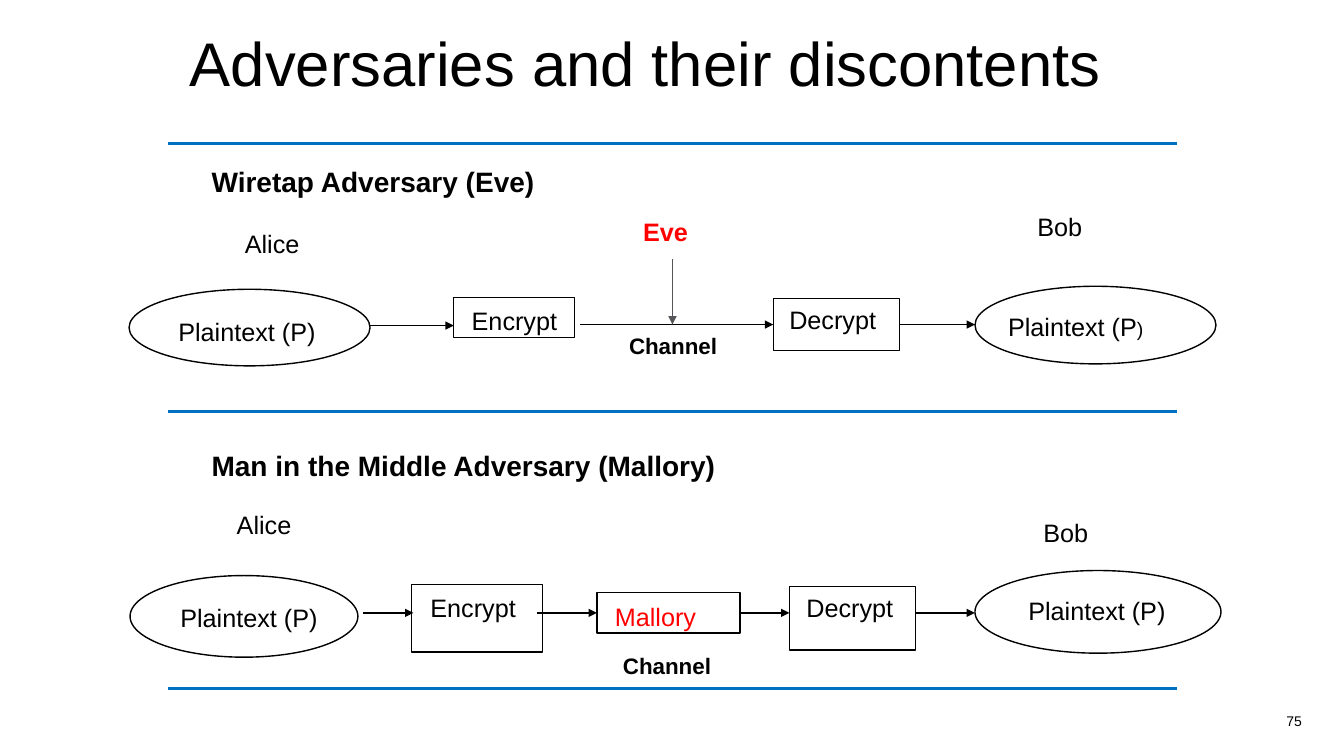
from dataclasses import dataclass

import pptx
import pptx.dml.color
import pptx.enum.shapes
import pptx.enum.text
import pptx.oxml.ns
import pptx.oxml.xmlchemy
import pptx.util

Inches = pptx.util.Inches
Pt = pptx.util.Pt
ShapeKind = pptx.enum.shapes.MSO_SHAPE
Align = pptx.enum.text.PP_ALIGN
Anchor = pptx.enum.text.MSO_ANCHOR
new_element = pptx.oxml.xmlchemy.OxmlElement
LEFT_SIDE, RIGHT_SIDE = 1, 3


def rgb(value):
    return pptx.dml.color.RGBColor.from_string(value)


@dataclass(frozen=True)
class Theme:
    font: str = "Arial"
    ink: str = "000000"
    alert: str = "FF0000"
    rule: str = "0070C0"
    tap: str = "56555A"
    title: int = 44
    heading: int = 20
    label: int = 18
    channel: int = 16
    small: int = 14
    number: int = 10
    thin: int = 1
    thick: int = 2


class SlideBuilder:
    def __init__(self, slide, theme):
        self.slide = slide
        self.theme = theme

    def style_font(self, font, size, color, bold=False):
        values = {"name": self.theme.font, "size": Pt(size), "bold": bold}
        for name, value in values.items():
            setattr(font, name, value)
        font.color.rgb = rgb(color)

    def title(self, text, left, top, width, height):
        shape = self.slide.shapes.title
        places = {"left": left, "top": top, "width": width, "height": height}
        for name, value in places.items():
            setattr(shape, name, Inches(value))
        frame = shape.text_frame
        frame.text = text
        frame.vertical_anchor = Anchor.MIDDLE
        paragraph = frame.paragraphs[0]
        paragraph.alignment = Align.CENTER
        paragraph.line_spacing = 0.9
        self.style_font(paragraph.runs[0].font, self.theme.title, self.theme.ink)

    def text(self, text, left, top, width, height=0.4, size=None, color=None,
             bold=False, wrap=True, align=Align.LEFT, anchor=Anchor.TOP, ending=""):
        shape = self.slide.shapes.add_textbox(
            Inches(left), Inches(top), Inches(width), Inches(height))
        formats = {"word_wrap": wrap, "vertical_anchor": anchor,
                   "auto_size": pptx.enum.text.MSO_AUTO_SIZE.SHAPE_TO_FIT_TEXT}
        for name, value in formats.items():
            setattr(shape.text_frame, name, value)
        paragraph = shape.text_frame.paragraphs[0]
        paragraph.alignment = align
        pieces = [(text, size or self.theme.label), (ending, self.theme.small)]
        for words, points in pieces:
            if words:
                run = paragraph.add_run()
                run.text = words
                self.style_font(run.font, points, color or self.theme.ink, bold)

    def outline(self, kind, left, top, width, height):
        shape = self.slide.shapes.add_shape(
            kind, Inches(left), Inches(top), Inches(width), Inches(height))
        shape.shadow.inherit = False
        shape.fill.background()
        shape.line.color.rgb = rgb(self.theme.ink)
        shape.line.width = Pt(self.theme.thin)
        return shape

    def line(self, start, end, color, width):
        connector = self.slide.shapes.add_connector(
            pptx.enum.shapes.MSO_CONNECTOR.STRAIGHT,
            *(Inches(value) for value in (*start, *end)))
        connector.line.color.rgb = rgb(color)
        connector.line.width = Pt(width)
        connector._element.spPr.append(new_element("a:effectLst"))
        return connector

    def arrow(self, start, end, color=None, source=None, target=None):
        connector = self.line(start, end, color or self.theme.ink, self.theme.thin)
        if source is not None:
            connector.begin_connect(source, RIGHT_SIDE)
        if target is not None:
            connector.end_connect(target, LEFT_SIDE)
        head = new_element("a:tailEnd")
        head.set("type", "triangle")
        connector._element.spPr.find(pptx.oxml.ns.qn("a:ln")).append(head)


def draw_wiretap(builder):
    theme = builder.theme
    # Plaintext, encryption and decryption outlines
    builder.outline(ShapeKind.OVAL, 1.28, 2.87, 2.39, 0.76)
    builder.outline(ShapeKind.RECTANGLE, 4.5, 2.95, 1.2, 0.4)
    decrypt = builder.outline(ShapeKind.RECTANGLE, 7.67, 2.96, 1.25, 0.52)
    builder.outline(ShapeKind.OVAL, 9.67, 2.84, 2.39, 0.77)

    # Message flow and the tap on the channel
    builder.arrow((3.67, 3.23), (4.5, 3.23))
    builder.arrow((5.75, 3.22), (7.67, 3.22), target=decrypt)
    builder.arrow((8.92, 3.22), (9.67, 3.22), source=decrypt)
    builder.arrow((6.67, 2.57), (6.67, 3.22), color=theme.tap)

    # Labels
    builder.text("Wiretap Adversary (Eve)", 2, 1.58, 3.83, 0.43,
                 size=theme.heading, bold=True)
    builder.text("Eve", 6.28, 2.1, 1.75, color=theme.alert, bold=True)
    builder.text("Plaintext (P)", 1.67, 3.09, 1.58)
    builder.text("Plaintext (P", 9.9, 3.04, 1.86, ending=")")
    draw_common_labels(builder, alice=(2.33, 2.22), bob=(10.19, 2.05),
                       encrypt=(4.58, 2.98), decrypt=(7.73, 2.97),
                       channel=(6.14, 3.25))


def draw_middle(builder):
    theme = builder.theme
    # Plaintext, encryption, Mallory and decryption outlines
    builder.outline(ShapeKind.OVAL, 1.29, 5.71, 2.26, 0.81)
    builder.outline(ShapeKind.RECTANGLE, 4.08, 5.8, 1.3, 0.67)
    mallory = builder.outline(ShapeKind.RECTANGLE, 5.92, 5.88, 1.42, 0.4)
    builder.outline(ShapeKind.RECTANGLE, 7.83, 5.82, 1.25, 0.63)
    builder.outline(ShapeKind.OVAL, 9.67, 5.66, 2.44, 0.82)

    # Message flow through Mallory
    flow = 6.08
    for start, end, source, target in [(3.6, 4.1, None, None),
                                       (5.33, 5.92, None, mallory),
                                       (7.34, 7.83, mallory, None),
                                       (9.08, 9.67, None, None)]:
        builder.arrow((start, flow), (end, flow), source=source, target=target)

    # Labels
    builder.text("Man in the Middle Adversary (Mallory)", 2, 4.4, 9, 0.44,
                 size=theme.heading, bold=True)
    builder.text("Mallory", 6, 5.92, 1.25, color=theme.alert)
    builder.text("Plaintext (P)", 1.69, 5.93, 1.7)
    builder.text("Plaintext (P)", 10.1, 5.86, 2.01)
    draw_common_labels(builder, alice=(2.25, 5), bob=(10.25, 5.08),
                       encrypt=(4.17, 5.83), decrypt=(7.9, 5.83),
                       channel=(6.08, 6.42))


def draw_common_labels(builder, alice, bob, encrypt, decrypt, channel):
    for text, place, width in [("Alice", alice, 0.74), ("Bob", bob, 0.65),
                               ("Encrypt", encrypt, 1.05),
                               ("Decrypt", decrypt, 1.06)]:
        builder.text(text, *place, width, wrap=False)
    builder.text("Channel", *channel, 1.08, 0.37,
                 size=builder.theme.channel, bold=True, wrap=False)


def main():
    presentation = pptx.Presentation()
    presentation.slide_width = Inches(13.33)
    presentation.slide_height = Inches(7.5)
    slide = presentation.slides.add_slide(presentation.slide_layouts[5])
    theme = Theme()
    builder = SlideBuilder(slide, theme)

    # Title and slide number
    builder.title("Adversaries and their discontents", 1.19, 0.25, 10.43, 0.83)
    builder.text("75", 12.64, 6.95, 0.39, size=theme.number,
                 align=Align.CENTER, anchor=Anchor.MIDDLE)

    # The two attack diagrams
    draw_wiretap(builder)
    draw_middle(builder)

    # Rules between the sections
    for height in (1.42, 4.08, 6.83):
        builder.line((1.67, height), (11.67, height), theme.rule, theme.thick)

    presentation.save("out.pptx")


if __name__ == "__main__":
    main()
